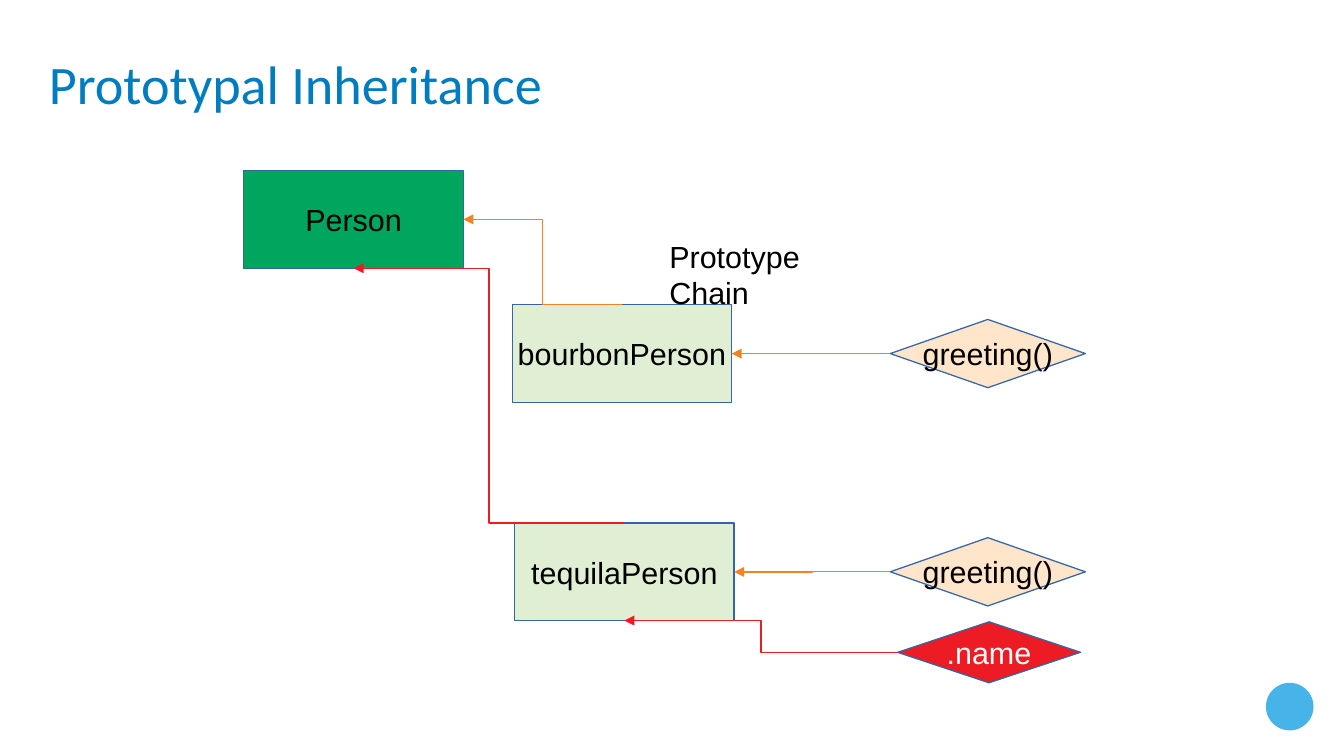
from dataclasses import dataclass

from lxml.etree import SubElement
from pptx import Presentation
from pptx.dml.color import RGBColor
from pptx.enum.shapes import MSO_CONNECTOR as Connector, MSO_SHAPE as Shape
from pptx.enum.text import MSO_ANCHOR as Anchor, MSO_AUTO_SIZE as AutoSize, PP_ALIGN as Align
from pptx.oxml.ns import qn
from pptx.util import Inches, Pt


@dataclass(frozen=True)
class Theme:
    title_font: str = "Calibri"
    body_font: str = "Arial"
    title_size: int = 32
    body_size: int = 18
    line_width: float = 0.75
    title: str = "007DC1"
    ink: str = "000000"
    paper: str = "FFFFFF"
    outline: str = "3465A4"
    base: str = "00A65D"
    derived: str = "E0EFD4"
    method: str = "FFE5CA"
    own: str = "ED1C24"
    chain: str = "F58220"
    badge: str = "46B3E9"


THEME = Theme()
BOX_SIZE = (18, 8)
METHOD_SIZE = (16, 5.6)
FIELD_SIZE = (15, 5)


def grid(cells):
    """Length of a number of grid cells, ten to the inch."""
    return Inches(cells / 10)


def place(shape, left, top, width, height):
    shape.left, shape.top = grid(left), grid(top)
    shape.width, shape.height = grid(width), grid(height)


def write(frame, text, *, color=THEME.ink, font=THEME.body_font, size=THEME.body_size,
          align=Align.LEFT, anchor=Anchor.TOP, wrap=True):
    frame.word_wrap = wrap
    frame.auto_size = AutoSize.NONE
    frame.vertical_anchor = anchor
    para = frame.paragraphs[0]
    para.alignment = align
    span = para.add_run()
    span.text = text
    span.font.name, span.font.size = font, Pt(size)
    span.font.color.rgb = RGBColor.from_string(color)
    return para


def add_title(page, text):
    title = page.shapes.title
    place(title, 3, 3.9, 67.9, 6.1)
    title.text_frame.margin_right = 0
    para = write(title.text_frame, text, color=THEME.title, font=THEME.title_font,
                 size=THEME.title_size, anchor=Anchor.BOTTOM)
    para.line_spacing, para.space_before = 0.9, Pt(6)


def add_filled(page, kind, left, top, size, fill):
    shape = page.shapes.add_shape(kind, grid(left), grid(top), *map(grid, size))
    shape.shadow.inherit = False
    shape.fill.solid()
    shape.fill.fore_color.rgb = RGBColor.from_string(fill)
    shape.line.fill.background()
    return shape


def add_node(page, kind, text, left, top, size, fill, color=THEME.ink):
    node = add_filled(page, kind, left, top, size, fill)
    node.line.color.rgb = RGBColor.from_string(THEME.outline)
    node.line.width = Pt(THEME.line_width)
    write(node.text_frame, text, color=color, align=Align.CENTER, anchor=Anchor.MIDDLE, wrap=False)
    return node


def add_label(page, text, left, top, width, height):
    label = page.shapes.add_textbox(*map(grid, (left, top, width, height)))
    write(label.text_frame, text)


def side(shape, name):
    """Middle point of one side of a shape."""
    across, down = {"left": (0, 0.5), "right": (1, 0.5),
                    "top": (0.5, 0), "bottom": (0.5, 1)}[name]
    return int(shape.left + shape.width * across), int(shape.top + shape.height * down)


def add_arrow(page, start, end, color):
    arrow = page.shapes.add_connector(Connector.ELBOW, *start, *end)
    arrow.line.color.rgb = RGBColor.from_string(color)
    arrow.line.width = Pt(THEME.line_width)
    # Arrowhead at the end, and no shadow
    properties = arrow._element.spPr
    SubElement(properties.find(qn("a:ln")), qn("a:tailEnd"), type="triangle")
    SubElement(properties, qn("a:effectLst"))


def main():
    deck = Presentation()
    deck.slide_width, deck.slide_height = Inches(11.02), Inches(6.2)
    page = deck.slides.add_slide(deck.slide_layouts[5])

    # Corner badge and title
    add_filled(page, Shape.OVAL, 103.8, 56, (3.9, 3.9), THEME.badge)
    add_title(page, "Prototypal Inheritance")

    # Objects
    person = add_node(page, Shape.RECTANGLE, "Person", 20, 14, BOX_SIZE, THEME.base)
    bourbon = add_node(page, Shape.RECTANGLE, "bourbonPerson", 42, 25, BOX_SIZE, THEME.derived)
    add_label(page, "Prototype Chain", 53.9, 19, 19.7, 3.8)
    tequila = add_node(page, Shape.RECTANGLE, "tequilaPerson", 42.2, 42.9, BOX_SIZE, THEME.derived)

    # Methods, each level with its object, and an own field
    for owner, top in ((bourbon, 26.2), (tequila, 44.1)):
        method = add_node(page, Shape.DIAMOND, "greeting()", 73, top, METHOD_SIZE, THEME.method)
        add_arrow(page, side(method, "left"), side(owner, "right"), THEME.chain)
    field = add_node(page, Shape.DIAMOND, ".name", 73.6, 51, FIELD_SIZE, THEME.own, THEME.paper)

    # Links up the chain
    add_arrow(page, side(bourbon, "top"), side(person, "right"), THEME.chain)
    add_arrow(page, side(field, "left"), side(tequila, "bottom"), THEME.own)
    add_arrow(page, side(tequila, "top"), side(person, "bottom"), THEME.own)

    deck.save("out.pptx")


if __name__ == "__main__":
    main()
